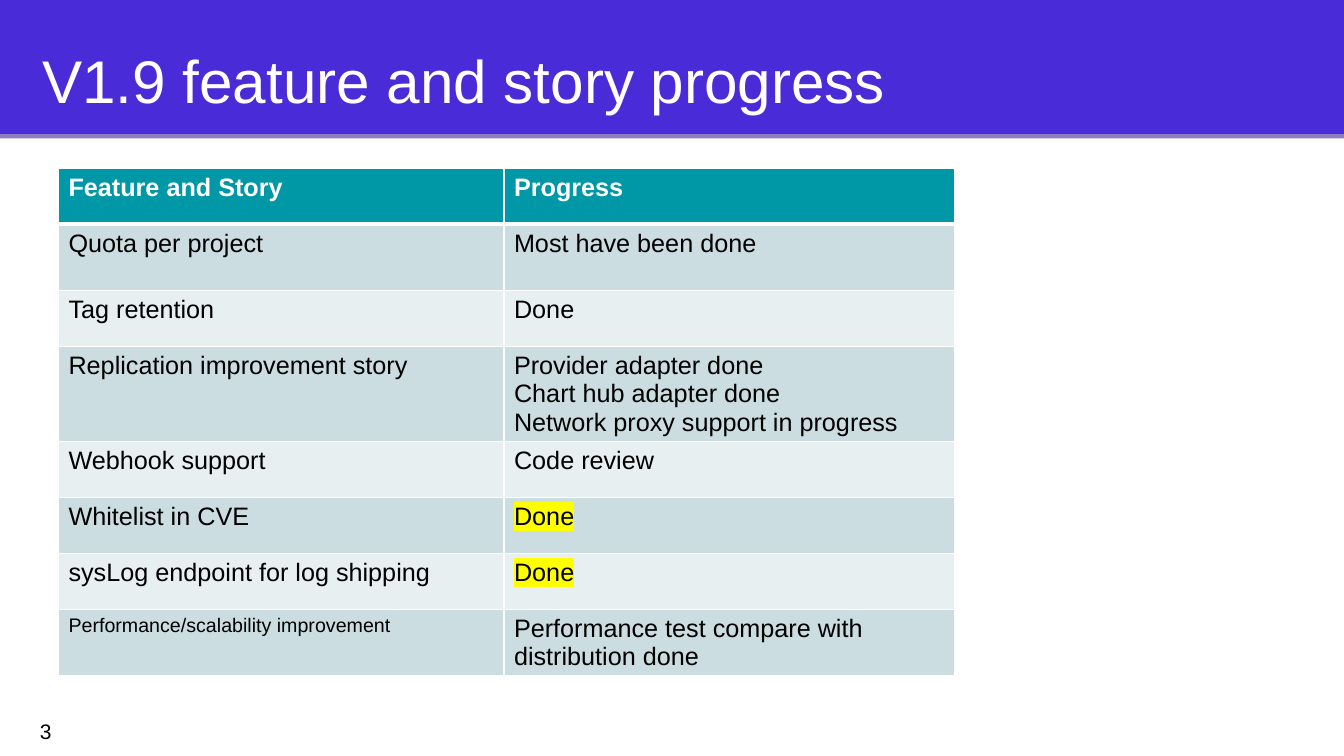
from dataclasses import dataclass

from lxml import etree
from pptx import Presentation
from pptx import util as u
from pptx.dml.color import RGBColor
from pptx.enum import shapes, text
from pptx.oxml import ns

WIDTH, HEIGHT = u.Inches(13.33), u.Inches(7.5)
GRID = 100

INDIGO = RGBColor(0x4A, 0x2B, 0xD8)
LILAC = RGBColor(0x8E, 0x7C, 0xC3)
TEAL = RGBColor(0x00, 0x97, 0xA7)
MIST = RGBColor(0xCC, 0xDD, 0xE1)
PALE = RGBColor(0xE7, 0xEF, 0xF1)
WHITE = RGBColor(0xFF, 0xFF, 0xFF)
BLACK = RGBColor(0x00, 0x00, 0x00)
YELLOW = RGBColor(0xFF, 0xFF, 0x00)


@dataclass(frozen=True)
class Area:
    col: float
    row: float
    cols: float
    rows: float

    def box(self) -> tuple[int, int, int, int]:
        return (across(self.col), down(self.row),
                across(self.cols), down(self.rows))


@dataclass(frozen=True)
class Band:
    area: Area
    color: RGBColor


@dataclass(frozen=True)
class Story:
    feature: str
    progress: str
    rows: float = 7.4
    size: int = 18
    highlight: RGBColor | None = None


BANDS = [
    Band(Area(0, 0, 100, 17.75), INDIGO),
    Band(Area(0, 17.75, 100, 0.55), LILAC),
]
TITLE = Area(2.18, 3.07, 93.17, 11.07)
NUMBER = Area(2, 92.93, 6, 7.6)
TABLE = Area(4.35, 22.27, 66.7, 66.6)
COLUMNS = (33.15, 33.55)
STORIES = [
    Story("Feature and Story", "Progress"),
    Story("Quota per project", "Most have been done", rows=8.8),
    Story("Tag retention", "Done"),
    Story("Replication improvement story",
          "Provider adapter done\nChart hub adapter done\n"
          "Network proxy support in progress", rows=12.4),
    Story("Webhook support", "Code review"),
    Story("Whitelist in CVE", "Done", highlight=YELLOW),
    Story("sysLog endpoint for log shipping", "Done", highlight=YELLOW),
    Story("Performance/scalability improvement",
          "Performance test compare with distribution done",
          rows=8.8, size=14),
]


def across(cols: float) -> int:
    return round(WIDTH * cols / GRID)


def down(rows: float) -> int:
    return round(HEIGHT * rows / GRID)


def write(tf, words: str, *, size: float, color: RGBColor = BLACK,
          bold: bool = False, highlight: RGBColor | None = None) -> None:
    for i, line in enumerate(words.split("\n")):
        p = tf.add_paragraph() if i else tf.paragraphs[0]
        p.alignment = text.PP_ALIGN.LEFT
        r = p.add_run()
        r.text = line
        r.font.size = u.Pt(size)
        r.font.bold = bold
        r.font.color.rgb = color
        if highlight is not None:
            mark = etree.SubElement(r._r.get_or_add_rPr(), ns.qn("a:highlight"))
            etree.SubElement(mark, ns.qn("a:srgbClr"), val=str(highlight))
        r.font.name = "Arial"


def frame(tf, anchor: text.MSO_ANCHOR, top: float = 0.13) -> None:
    tf.word_wrap = True
    tf.auto_size = text.MSO_AUTO_SIZE.NONE
    tf.vertical_anchor = anchor
    tf.margin_left = tf.margin_right = tf.margin_bottom = u.Inches(0.13)
    tf.margin_top = u.Inches(top)


def add_band(s, band: Band) -> None:
    sp = s.shapes.add_shape(shapes.MSO_SHAPE.RECTANGLE, *band.area.box())
    sp.shadow.inherit = False
    sp.fill.solid()
    sp.fill.fore_color.rgb = band.color
    sp.line.fill.background()


def add_title(s, words: str) -> None:
    sp = s.shapes.title
    sp.left, sp.top, sp.width, sp.height = TITLE.box()
    frame(sp.text_frame, text.MSO_ANCHOR.TOP, top=0.2)
    write(sp.text_frame, words, size=43, color=WHITE)
    s.shapes._spTree.append(sp._element)


def add_number(s, words: str) -> None:
    sp = s.shapes.add_textbox(*NUMBER.box())
    frame(sp.text_frame, text.MSO_ANCHOR.MIDDLE)
    write(sp.text_frame, words, size=15)


def set_borders(cell, top: float, bottom: float) -> None:
    tc_pr = cell._tc.get_or_add_tcPr()
    for side, width in zip("LRTB", (1, 1, top, bottom)):
        ln = etree.SubElement(tc_pr, ns.qn(f"a:ln{side}"), w=str(u.Pt(width)))
        fill = etree.SubElement(ln, ns.qn("a:solidFill"))
        etree.SubElement(fill, ns.qn("a:srgbClr"), val=str(WHITE))


def add_table(s) -> None:
    table = s.shapes.add_table(len(STORIES), len(COLUMNS), *TABLE.box()).table
    for column, cols in zip(table.columns, COLUMNS):
        column.width = across(cols)
    for i, story in enumerate(STORIES):
        header = i == 0
        table.rows[i].height = down(story.rows)
        color = TEAL if header else MIST if i % 2 else PALE
        entries = ((story.feature, story.size, None),
                   (story.progress, 18, story.highlight))
        for j, (words, size, highlight) in enumerate(entries):
            cell = table.cell(i, j)
            set_borders(cell, 3 if i == 1 else 1, 3 if header else 1)
            cell.fill.solid()
            cell.fill.fore_color.rgb = color
            write(cell.text_frame, words, size=size, bold=header,
                  color=WHITE if header else BLACK, highlight=highlight)


def main() -> None:
    prs = Presentation()
    prs.slide_width, prs.slide_height = WIDTH, HEIGHT
    s = prs.slides.add_slide(prs.slide_layouts.get_by_name("Title Only"))
    for band in BANDS:
        add_band(s, band)
    add_title(s, "V1.9 feature and story progress")
    add_number(s, "3")
    add_table(s)
    prs.save("out.pptx")


if __name__ == "__main__":
    main()
